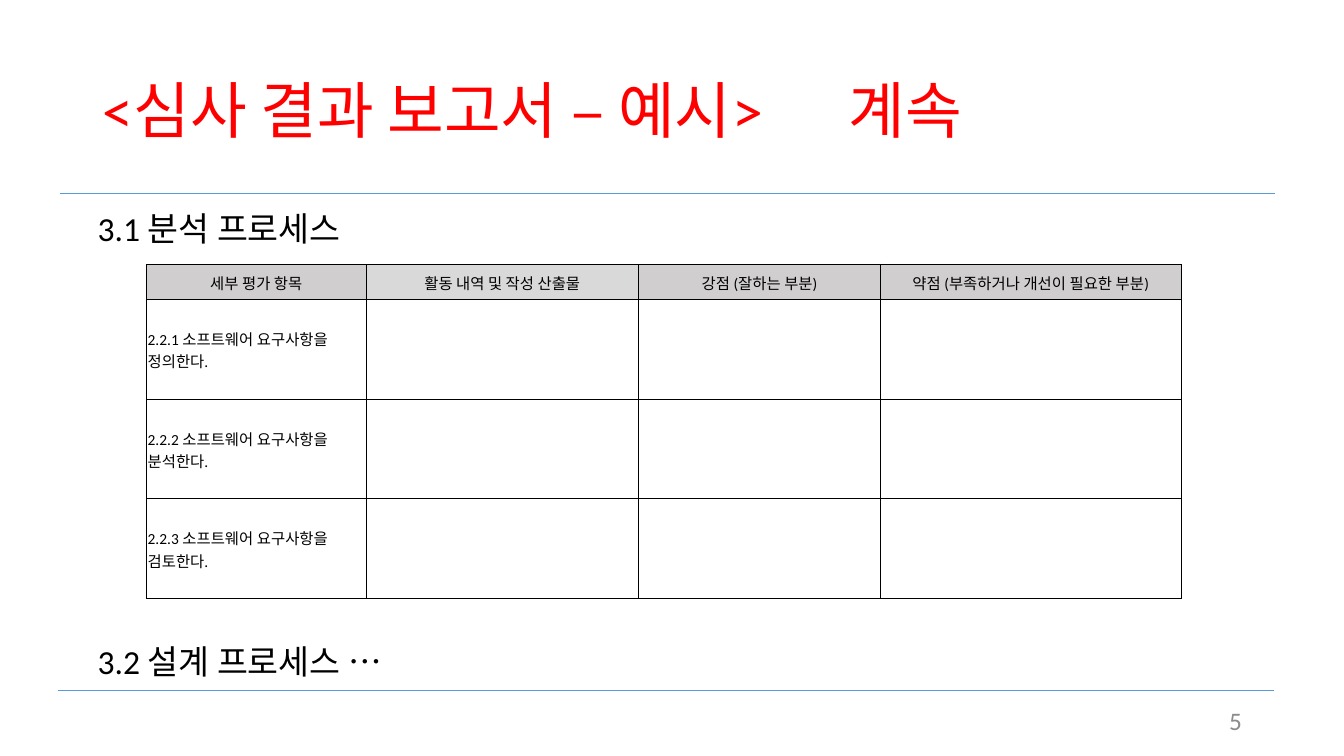
from lxml.etree import SubElement
from pptx import Presentation
from pptx.dml.color import RGBColor
from pptx.enum.shapes import MSO_CONNECTOR
from pptx.enum.text import MSO_ANCHOR, PP_ALIGN
from pptx.oxml.ns import qn
from pptx.util import Cm, Pt

TITLE = "<심사 결과 보고서 – 예시>\t계속"
TITLE_TAB = 18.8
HEADINGS = [("3.1 분석 프로세스", 5.23), ("3.2 설계 프로세스 …", 16.13)]
HEADER = ["세부 평가 항목", "활동 내역 및 작성 산출물", "강점 (잘하는 부분)", "약점 (부족하거나 개선이 필요한 부분)"]
ITEMS = [
    "2.2.1 소프트웨어 요구사항을 정의한다.",
    "2.2.2 소프트웨어 요구사항을 분석한다.",
    "2.2.3 소프트웨어 요구사항을 검토한다.",
]
PAGE = "5"
COL_WIDTHS = [5.54, 6.86, 6.1, 7.57]
HEADER_HEIGHT, ITEM_HEIGHT = 0.89, 2.51
RULES = [(1.5, 4.88), (1.47, 17.4)]
RULE_LENGTH = 30.63

THEME = {
    "font": "Calibri",
    "title": (44, "FF0000"),
    "heading": (24, "000000"),
    "cell": (11, "000000"),
    "page": (18, "8C8C8C"),
    "header_fills": ["D0CECE", "D9D9D9", "D0CECE", "D0CECE"],
    "rule": "5B9BD5",
    "border": "000000",
    "line_width": 0.5,
}


def color(name):
    return RGBColor.from_string(name)


def write(tf, text, style, align=PP_ALIGN.LEFT, spacing=None):
    p = tf.paragraphs[0]
    p.alignment = align
    if spacing:
        p.line_spacing = spacing
    r = p.add_run()
    r.text = text
    size, rgb = THEME[style]
    r.font.name, r.font.size = THEME["font"], Pt(size)
    r.font.color.rgb = color(rgb)
    return p


def add_text(s, box, text, style, anchor=MSO_ANCHOR.MIDDLE, **options):
    tf = s.shapes.add_textbox(*map(Cm, box)).text_frame
    tf.word_wrap = True
    tf.vertical_anchor = anchor
    return write(tf, text, style, **options)


def add_rule(s, left, top):
    line = s.shapes.add_connector(
        MSO_CONNECTOR.STRAIGHT, Cm(left), Cm(top), Cm(left + RULE_LENGTH), Cm(top))
    line.line.color.rgb = color(THEME["rule"])
    line.line.width = Pt(THEME["line_width"])
    SubElement(line._element.spPr, qn("a:effectLst"))


def set_borders(cell):
    tcPr = cell._tc.get_or_add_tcPr()
    for i, side in enumerate(("lnL", "lnR", "lnT", "lnB")):
        ln = SubElement(tcPr, qn(f"a:{side}"), w=str(Pt(THEME["line_width"])))
        fill = SubElement(ln, qn("a:solidFill"))
        SubElement(fill, qn("a:srgbClr"), val=THEME["border"])
        tcPr.remove(ln)
        tcPr.insert(i, ln)


def add_review_table(s, left, top):
    rows = [HEADER] + [[item, "", "", ""] for item in ITEMS]
    heights = [HEADER_HEIGHT] + [ITEM_HEIGHT] * len(ITEMS)
    table = s.shapes.add_table(
        len(rows), len(HEADER), Cm(left), Cm(top),
        Cm(sum(COL_WIDTHS)), Cm(sum(heights))).table
    for col, width in zip(table.columns, COL_WIDTHS):
        col.width = Cm(width)
    for i, (row, height) in enumerate(zip(rows, heights)):
        table.rows[i].height = Cm(height)
        for j, text in enumerate(row):
            cell = table.cell(i, j)
            cell.margin_left = cell.margin_right = cell.margin_top = Cm(0.03)
            cell.margin_bottom = Cm(0)
            cell.vertical_anchor = MSO_ANCHOR.MIDDLE
            if i == 0:
                cell.fill.solid()
                cell.fill.fore_color.rgb = color(THEME["header_fills"][j])
            else:
                cell.fill.background()
            set_borders(cell)
            if text:
                write(cell.text_frame, text, "cell",
                      align=PP_ALIGN.LEFT if i else PP_ALIGN.CENTER)


def main():
    prs = Presentation()
    prs.slide_width, prs.slide_height = Cm(33.87), Cm(19.05)
    s = prs.slides.add_slide(prs.slide_layouts[6])
    for left, top in RULES:
        add_rule(s, left, top)
    add_review_table(s, 3.69, 6.66)
    add_text(s, (23.93, 17.65, 7.62, 1.02), PAGE, "page", align=PP_ALIGN.RIGHT)
    for text, top in HEADINGS:
        add_text(s, (2.21, top, 27.94, 1.2), text, "heading",
                 anchor=MSO_ANCHOR.TOP, spacing=0.9)
    title = add_text(s, (2.34, 1.02, 29.21, 3.68), TITLE, "title", spacing=0.9)
    tabs = SubElement(title._p.get_or_add_pPr(), qn("a:tabLst"))
    SubElement(tabs, qn("a:tab"), pos=str(Cm(TITLE_TAB)), algn="l")
    prs.save("out.pptx")


if __name__ == "__main__":
    main()
